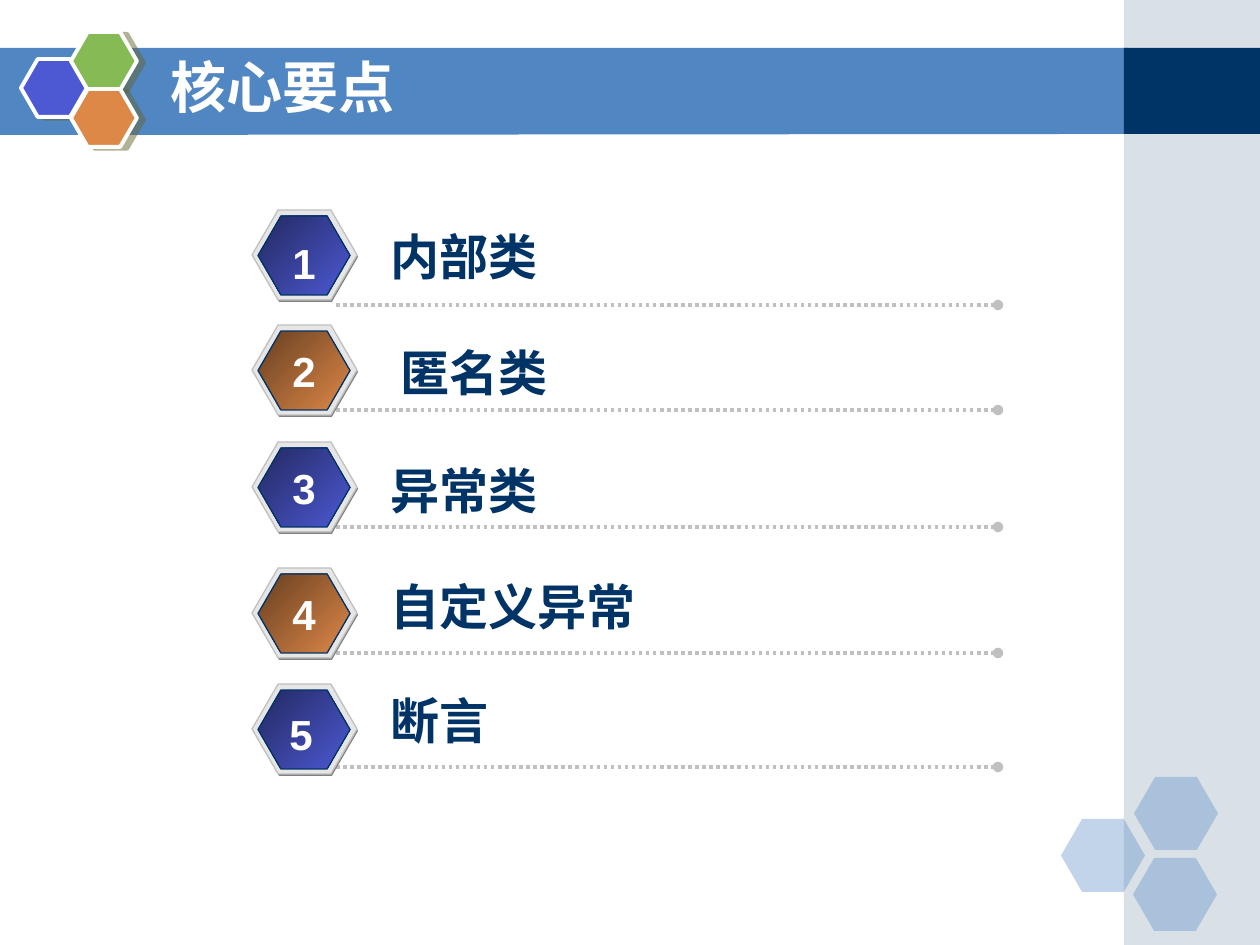
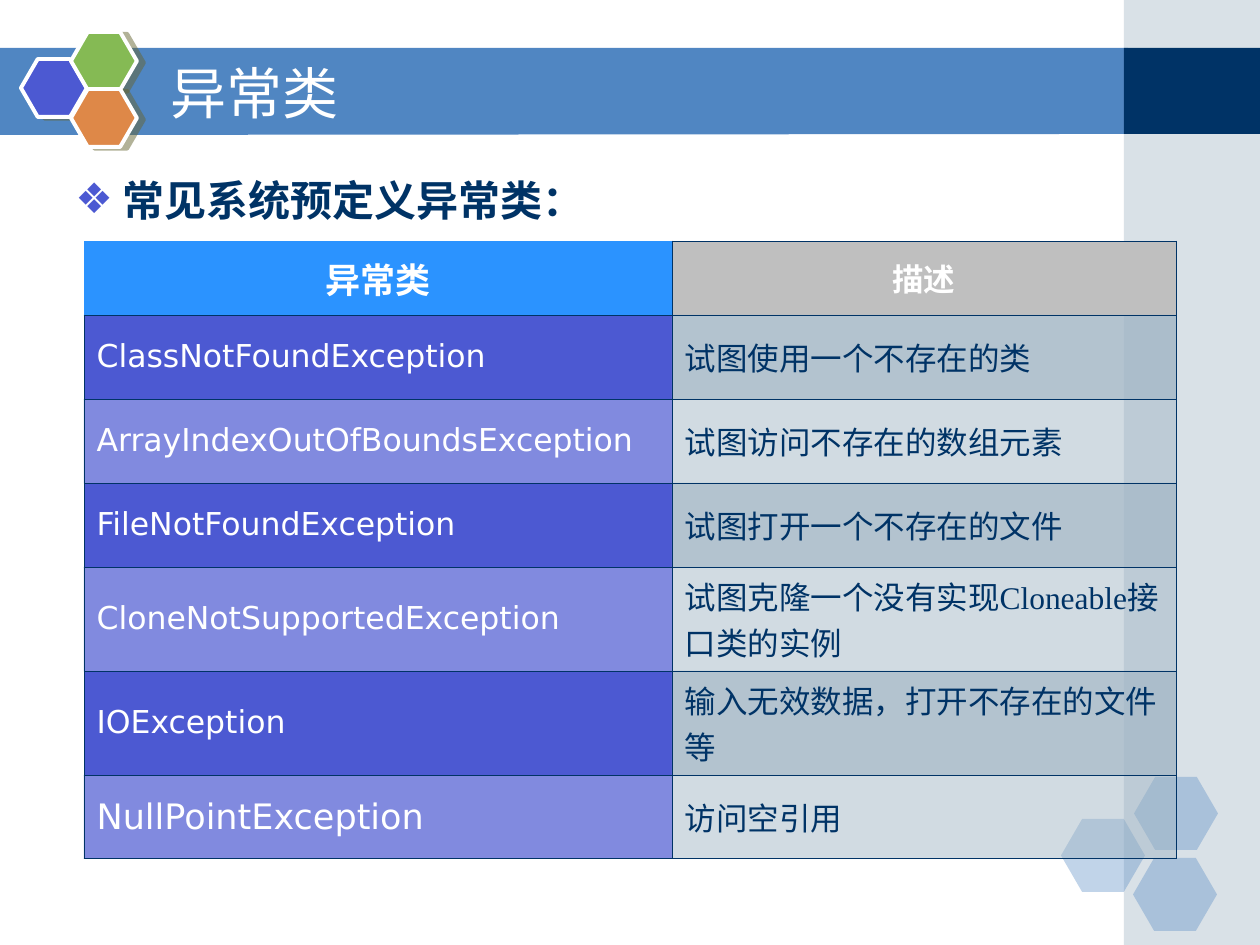
import pptx
import pptx.dml.color
import pptx.enum.dml
import pptx.enum.shapes
import pptx.enum.text
import pptx.oxml
import pptx.util
from pptx.oxml.ns import nsdecls, qn

EMU_PER_PX = pptx.util.Inches(1) / 126
SLIDE_WIDTH, SLIDE_HEIGHT = 1260, 945
SHAPES = pptx.enum.shapes.MSO_SHAPE
ALIGN = pptx.enum.text.PP_ALIGN
MIDDLE = pptx.enum.text.MSO_ANCHOR.MIDDLE
CJK_FONT = "Noto Sans CJK SC"
COLORS = {
    "white": "FFFFFF",
    "navy": "003366",
    "band": "5086C2",
    "mist": "A0B5C4",
    "blue": "4C59D2",
    "dark_blue": "232961",
    "orange": "DE8848",
    "dark_orange": "673F21",
    "green": "85BA54",
    "olive": "666633",
    "rim": "E6E6E6",
    "silver": "C0C0C0",
    "gray": "808080",
    "header_blue": "2B93FF",
    "header_gray": "BFBFBF",
}

# Text, text left, text top, badge top, number left, number top, line y
AGENDA = [
    ("内部类", 378, 220, 210, 280, 231, 305),
    ("匿名类", 388, 336, 325, 280, 339, 410),
    ("异常类", 378, 454, 442, 280, 456, 527),
    ("自定义异常", 378, 570, 568, 280, 582, 653),
    ("断言", 378, 684, 684, 277, 702, 767),
]
EXCEPTIONS = [
    ("ClassNotFoundException", "试图使用一个不存在的类"),
    ("ArrayIndexOutOfBoundsException", "试图访问不存在的数组元素"),
    ("FileNotFoundException", "试图打开一个不存在的文件"),
    ("CloneNotSupportedException", "试图克隆一个没有实现Cloneable接口类的实例"),
    ("IOException", "输入无效数据，打开不存在的文件等"),
    ("NullPointException", "访问空引用"),
]


def px(*lengths):
    return [pptx.util.Emu(round(length * EMU_PER_PX)) for length in lengths]


def rgb(name):
    return pptx.dml.color.RGBColor.from_string(COLORS[name])


def xml(text):
    return pptx.oxml.parse_xml(text.replace(" ", f" {nsdecls('a')} ", 1))


def fill_solid(fill, color, properties=None, opacity=100):
    """Fill with a colour; properties is the XML parent that holds the fill."""
    fill.solid()
    fill.fore_color.rgb = rgb(color)
    if opacity < 100:
        color_element = properties.find(f"{qn('a:solidFill')}/{qn('a:srgbClr')}")
        color_element.append(xml(f'<a:alpha val="{opacity * 1000}"/>'))


def write_text(frame, text, *, size, color="white", font="Arial", bold=False,
               align=ALIGN.LEFT, space_before=0):
    paragraph = frame.paragraphs[0]
    paragraph.alignment = align
    paragraph.space_before = pptx.util.Pt(space_before)
    run = paragraph.add_run()
    run.text = text
    run.font.size = pptx.util.Pt(size)
    run.font.bold = bold
    run.font.name = font
    run.font.color.rgb = rgb(color)
    run._r.get_or_add_rPr().append(xml(f'<a:ea typeface="{CJK_FONT}"/>'))
    return paragraph


def add_text(slide, text, box, *, wrap=True, **text_format):
    frame = slide.shapes.add_textbox(*px(*box)).text_frame
    frame.word_wrap = wrap
    return write_text(frame, text, **text_format)


def add_shape(slide, kind, box, fill, *, opacity=100, line=None, line_width=0.75, adj=None):
    shape = slide.shapes.add_shape(kind, *px(*box))
    shape.shadow.inherit = False
    if adj is not None:
        shape.adjustments[0] = adj
    if isinstance(fill, tuple):
        shape.fill.gradient()
        shape.fill.gradient_angle = 315
        for stop, color in zip(shape.fill.gradient_stops, fill):
            stop.color.rgb = rgb(color)
    else:
        fill_solid(shape.fill, fill, shape.element.spPr, opacity)
    if line:
        shape.line.color.rgb = rgb(line)
        shape.line.width = pptx.util.Pt(line_width)
    else:
        shape.line.fill.background()
    return shape


def add_hexagon(slide, box, fill, **style):
    return add_shape(slide, SHAPES.HEXAGON, box, fill, **{"adj": 0.29, **style})


def add_offset_shadow(shape):
    effects = shape.element.spPr.find(qn("a:effectLst"))
    effects.append(xml(
        '<a:outerShdw blurRad="0" dist="52070" dir="840000" algn="ctr" rotWithShape="0">'
        f'<a:srgbClr val="{COLORS["olive"]}"><a:alpha val="50000"/></a:srgbClr></a:outerShdw>'))


def add_band(slide):
    builder = slide.shapes.build_freeform(*px(0, 48))
    builder.add_line_segments([px(*point) for point in [(1128, 48), (1128, 134), (0, 135)]])
    band = builder.convert_to_shape()
    band.shadow.inherit = False
    fill_solid(band.fill, "band")
    band.line.fill.background()


def decorate_layout(layout, slide):
    """Draw the shared background on a slide, then move it to the layout."""
    first = len(slide.shapes)
    add_band(slide)
    add_shape(slide, SHAPES.RECTANGLE, (1124, 0, 136, SLIDE_HEIGHT), "mist", opacity=40)
    add_shape(slide, SHAPES.RECTANGLE, (1124, 48, 136, 86), "navy")
    for left, top in [(1061, 819), (1134, 777), (1133, 858)]:
        add_hexagon(slide, (left, top, 84, 73), "band", opacity=35)
    for left, top, color in [(21, 59, "blue"), (71, 32, "green"), (71, 89, "orange")]:
        hexagon = add_hexagon(slide, (left, top, 66, 58), color, line="white", line_width=2.25)
        add_offset_shadow(hexagon)
    for shape in list(slide.shapes)[first:]:
        layout.shapes.element.append(shape.element)


def set_title(slide, text, top, height, **text_format):
    title = slide.shapes.title
    title.left, title.top, title.width, title.height = px(158, top, 924, height)
    title.text_frame.auto_size = pptx.enum.text.MSO_AUTO_SIZE.NONE
    title.text_frame.vertical_anchor = MIDDLE
    write_text(title.text_frame, text, size=32, **text_format)


def add_dotted_line(slide, y):
    connector = slide.shapes.add_connector(
        pptx.enum.shapes.MSO_CONNECTOR.STRAIGHT, *px(336, y, 998, y))
    connector.line.color.rgb = rgb("silver")
    connector.line.width = pptx.util.Pt(2)
    connector.line.dash_style = pptx.enum.dml.MSO_LINE.ROUND_DOT
    properties = connector.element.spPr
    properties.find(qn("a:ln")).append(xml('<a:tailEnd type="oval"/>'))
    properties.append(xml("<a:effectLst />"))


def add_badge(slide, top, gradient):
    add_hexagon(slide, (253, top + 2, 105, 90), "gray")
    add_hexagon(slide, (252, top, 105, 90), "rim", line="silver")
    add_hexagon(slide, (258, top + 6, 92, 79), gradient, line="navy")


def add_agenda(slide):
    gradients = [("dark_blue", "blue"), ("dark_orange", "orange")]
    for index, row in enumerate(AGENDA):
        text, text_left, text_top, badge_top, number_left, number_top, line_y = row
        add_dotted_line(slide, line_y)
        add_badge(slide, badge_top, gradients[index % 2])
        add_text(slide, text, (text_left, text_top, 577, 72), size=28, color="navy", bold=True)
        add_text(slide, str(index + 1), (number_left, number_top, 48, 63), wrap=False,
                 size=24, bold=True, align=ALIGN.CENTER)


def add_bullet(slide, text, box):
    paragraph = add_text(slide, text, box, size=24, color="navy", font="DejaVu Sans",
                         bold=True, space_before=6)
    properties = paragraph._p.get_or_add_pPr()
    properties.set("marL", "342900")
    properties.set("indent", "-342900")
    properties.append(xml(f'<a:buClr ><a:srgbClr val="{COLORS["blue"]}"/></a:buClr>'))
    properties.append(xml('<a:buFont typeface="DejaVu Sans"/>'))
    properties.append(xml('<a:buChar char="❖"/>'))


def set_borders(cell, sides):
    """Draw thin navy borders on the given sides and none on the others."""
    properties = cell._tc.get_or_add_tcPr()
    for position, side in enumerate("LRTB"):
        paint = "<a:noFill/>"
        if side in sides:
            paint = f'<a:solidFill><a:srgbClr val="{COLORS["navy"]}"/></a:solidFill>'
        properties.insert(position, xml(f'<a:ln{side} w="5715">{paint}</a:ln{side}>'))


def format_cell(cell, text, fill, *, opacity=100, borders="LRTB", **text_format):
    cell.vertical_anchor = MIDDLE
    cell.margin_left, cell.margin_right = [pptx.util.Inches(0.1)] * 2
    cell.margin_top, cell.margin_bottom = [pptx.util.Inches(0.05)] * 2
    write_text(cell.text_frame, text, **text_format)
    fill_solid(cell.fill, fill, cell._tc.get_or_add_tcPr(), opacity)
    set_borders(cell, borders)


def add_exception_table(slide):
    row_heights = [74, 84, 84, 84, 104, 104, 84]
    column_widths = [588, 504]
    table = slide.shapes.add_table(
        len(row_heights), 2, *px(84, 241, sum(column_widths), sum(row_heights))).table
    table.first_row = table.horz_banding = False
    for row, height in zip(table.rows, px(*row_heights)):
        row.height = height
    for column, width in zip(table.columns, px(*column_widths)):
        column.width = width

    header = {"font": "DejaVu Sans", "bold": True, "align": ALIGN.CENTER}
    format_cell(table.cell(0, 0), "异常类", "header_blue", borders="RB", size=20,
                space_before=5, **header)
    format_cell(table.cell(0, 1), "描述", "header_gray", size=18, space_before=4.5, **header)
    for row, (name, description) in enumerate(EXCEPTIONS, start=1):
        name_opacity, description_opacity = (100, 80) if row % 2 else (70, 48)
        format_cell(table.cell(row, 0), name, "blue", opacity=name_opacity,
                    size=20 if row == len(EXCEPTIONS) else 18, font="DejaVu Sans")
        format_cell(table.cell(row, 1), description, "mist", opacity=description_opacity,
                    size=18, color="navy", font="Times New Roman")


def main():
    presentation = pptx.Presentation()
    presentation.slide_width, presentation.slide_height = px(SLIDE_WIDTH, SLIDE_HEIGHT)
    layout = presentation.slide_layouts.get_by_name("Title Only")

    agenda_slide = presentation.slides.add_slide(layout)
    decorate_layout(layout, agenda_slide)
    set_title(agenda_slide, "核心要点", 42, 88, font=CJK_FONT, bold=True)
    add_agenda(agenda_slide)

    exception_slide = presentation.slides.add_slide(layout)
    set_title(exception_slide, "异常类", 53, 78, font="DejaVu Sans")
    add_bullet(exception_slide, "常见系统预定义异常类：", (63, 168, 1114, 163))
    add_exception_table(exception_slide)

    presentation.save("out.pptx")


if __name__ == "__main__":
    main()
